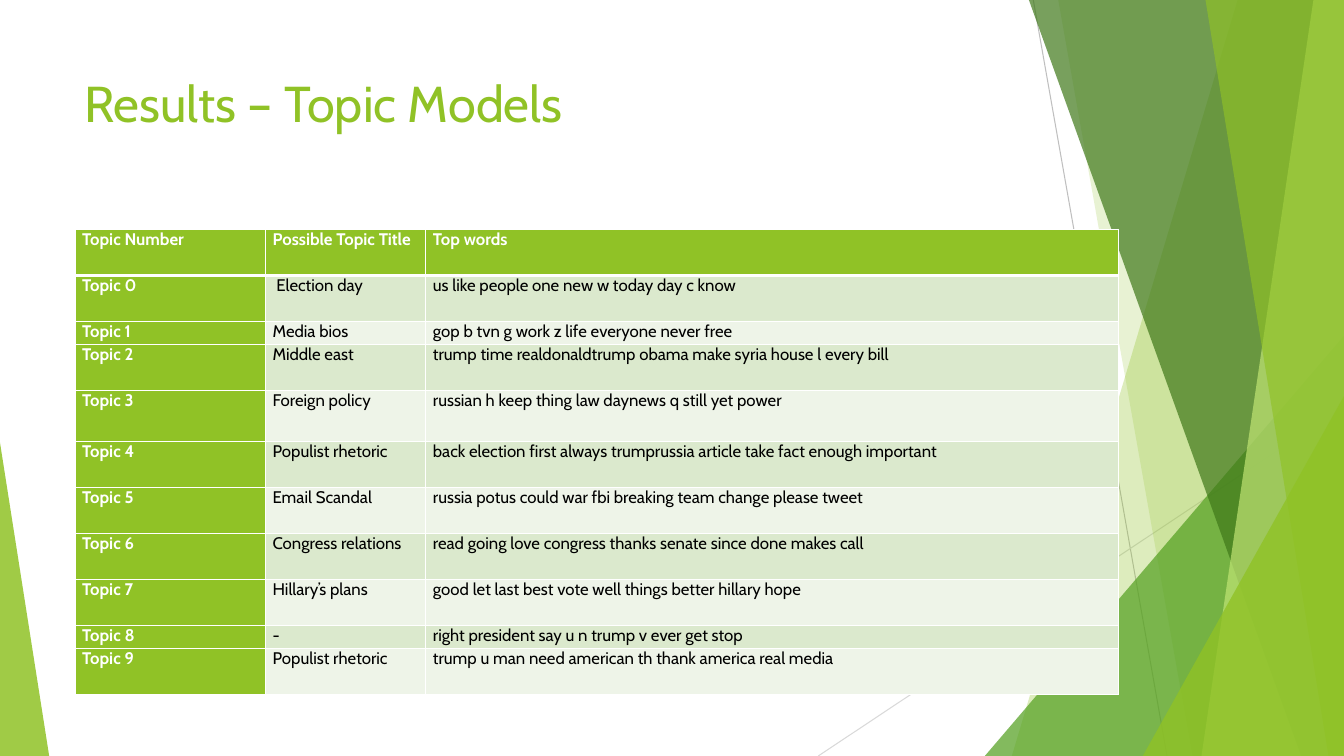
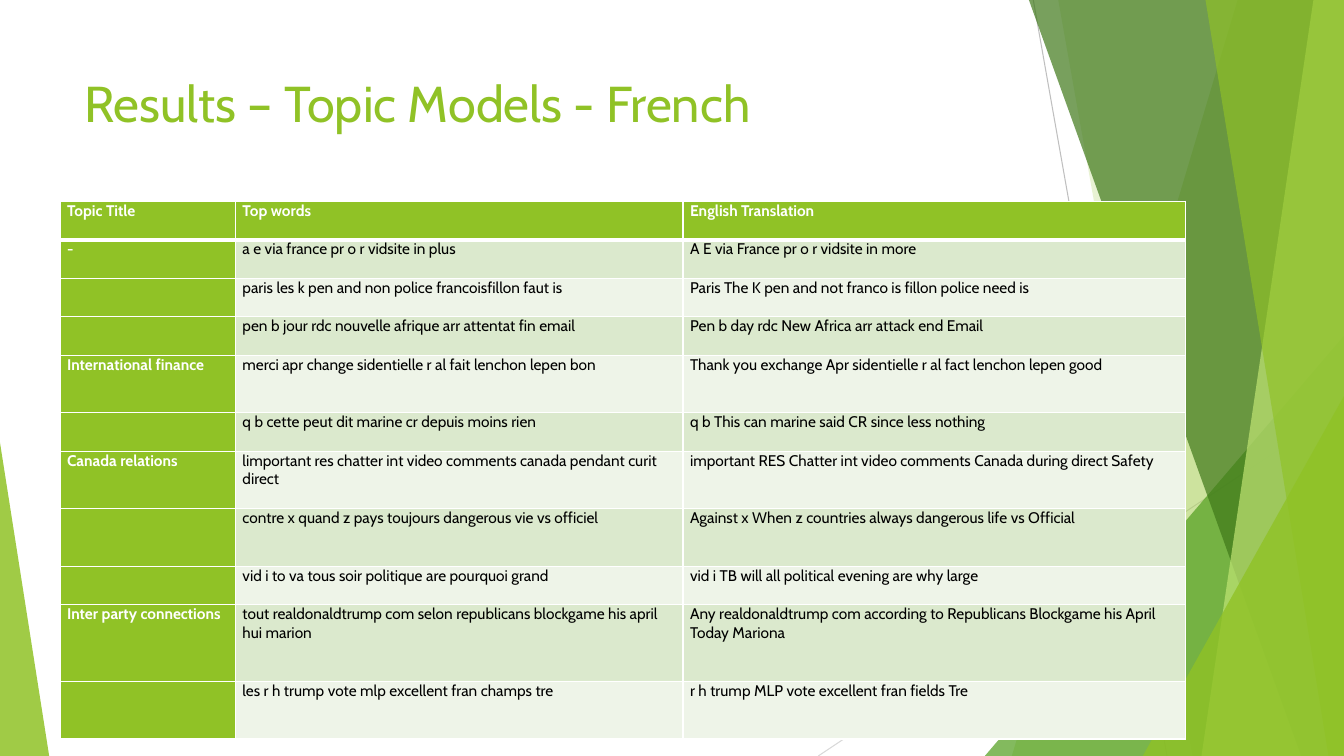
"""Build two topic-model result slides with a shared faceted green backdrop."""
from lxml import etree
from pptx import Presentation
from pptx.dml.color import RGBColor
from pptx.enum.shapes import MSO_CONNECTOR, MSO_SHAPE
from pptx.enum.text import MSO_ANCHOR
from pptx.oxml.ns import qn
from pptx.util import Cm, Pt

STRAIGHT = MSO_CONNECTOR.STRAIGHT
TRIANGLE = MSO_SHAPE.ISOSCELES_TRIANGLE
TOP = MSO_ANCHOR.TOP

FONT = "Cabin"
GREEN, LEAF, FOREST, LIME = "90C226", "54A021", "3F7819", "C0E474"
WHITE, BLACK = "FFFFFF", "000000"
ROW_TINTS = ["EEF4E8", "DBE9CD"]
WIDTH, HEIGHT = 33.87, 19.05

RULES = [
    (26.04, 0, 29.41, HEIGHT, "BFBFBF"),
    (WIDTH, 10.24, 20.62, HEIGHT, "D9D9D9"),
]

# Bands are (top x, bottom x); triangles are (left, top, width, apex).
FACETS = [
    ((31.19, 25.5), GREEN, 30),
    ((26.67, 30.05), GREEN, 20),
    ((24.82, 8.46, 9.05, 1), LEAF, 72),
    ((25.93, 32.79), FOREST, 70),
    ((33.1, 30.28), LIME, 70),
    ((30.38, 33.48), GREEN, 65),
    ((28.8, 9.98, 5.07, 1), GREEN, 80),
    ((0, 11.15, 1.24, 0), GREEN, 85),
]

TOPICS = [
    ("Topic Number", "Possible Topic Title", "Top words"),
    ("Topic 0", " Election day", "us like people one new w today day c know"),
    ("Topic 1", "Media bios", "gop b tvn g work z life everyone never free"),
    ("Topic 2", "Middle east", "trump time realdonaldtrump obama make syria house l every bill"),
    ("Topic 3", "Foreign policy", "russian h keep thing law daynews q still yet power"),
    ("Topic 4", "Populist rhetoric", "back election first always trumprussia article take fact enough important"),
    ("Topic 5", "Email Scandal", "russia potus could war fbi breaking team change please tweet"),
    ("Topic 6", "Congress relations", "read going love congress thanks senate since done makes call"),
    ("Topic 7", "Hillary’s plans", "good let last best vote well things better hillary hope"),
    ("Topic 8", "-", "right president say u n trump v ever get stop"),
    ("Topic 9", "Populist rhetoric", "trump u man need american th thank america real media"),
]

FRENCH_TOPICS = [
    ("Topic Title", "Top words", "English Translation"),
    ("-", "a e via france pr o r vidsite in plus", "A E via France pr o r vidsite in more"),
    ("", "paris les k pen and non police francoisfillon faut is",
     "Paris The K pen and not franco is fillon police need is"),
    ("", "pen b jour rdc nouvelle afrique arr attentat fin email",
     "Pen b day rdc New Africa arr attack end Email"),
    ("International finance", "merci apr change sidentielle r al fait lenchon lepen bon",
     "Thank you exchange Apr sidentielle r al fact lenchon lepen good"),
    ("", "q b cette peut dit marine cr depuis moins rien",
     "q b This can marine said CR since less nothing"),
    ("Canada relations", "limportant res chatter int video comments canada pendant curit direct",
     "important RES Chatter int video comments Canada during direct Safety"),
    ("", "contre x quand z pays toujours dangerous vie vs officiel",
     "Against x When z countries always dangerous life vs Official"),
    ("", "vid i to va tous soir politique are pourquoi grand",
     "vid i TB will all political evening are why large"),
    ("Inter party connections", "tout realdonaldtrump com selon republicans blockgame his april hui marion",
     "Any realdonaldtrump com according to Republicans Blockgame his April Today Mariona"),
    ("", "les r h trump vote mlp excellent fran champs tre",
     "r h trump MLP vote excellent fran fields Tre"),
]

SLIDES = [
    ("Results – Topic Models", TOPICS, 12, (1.89, 5.78), (4.8, 4.04, 17.45),
     (1.16, 1.16, 0.58, 1.16, 1.28, 1.16, 1.16, 1.16, 1.16, 0.58, 1.16)),
    ("Results – Topic Models - French", FRENCH_TOPICS, 11, (1.51, 5.07), (4.42, 11.28, 12.67),
     (0.97, 0.97, 0.97, 0.97, 1.45, 0.97, 1.45, 1.45, 0.97, 1.93, 1.45)),
]


def paint(fill, color, opacity=100):
    """Fill with a solid hex colour at the given opacity in percent."""
    fill.solid()
    fill.fore_color.rgb = RGBColor.from_string(color)
    if opacity < 100:
        srgb = fill._xPr.find(".//" + qn("a:srgbClr"))
        etree.SubElement(srgb, qn("a:alpha"), val=str(opacity * 1000))


def write(text_frame, text, size, color, bold=False):
    """Set the text and format its runs."""
    text_frame.text = text
    for run in text_frame.paragraphs[0].runs:
        run.font.name = FONT
        run.font.size = Pt(size)
        run.font.bold = bold
        paint(run.font.fill, color)


prs = Presentation()
prs.slide_width, prs.slide_height = Cm(WIDTH), Cm(HEIGHT)

for heading, rows, text_size, corner, column_widths, row_heights in SLIDES:
    slide = prs.slides.add_slide(prs.slide_layouts[6])

    for x1, y1, x2, y2, color in RULES:
        rule = slide.shapes.add_connector(STRAIGHT, Cm(x1), Cm(y1), Cm(x2), Cm(y2))
        rule.line.width = Pt(0.75)
        paint(rule.line.fill, color)
        etree.SubElement(rule._element.spPr, qn("a:effectLst"))

    for outline, color, opacity in FACETS:
        if len(outline) == 2:
            top_x, bottom_x = outline
            builder = slide.shapes.build_freeform(Cm(top_x), 0)
            builder.add_line_segments(
                [(Cm(WIDTH), 0), (Cm(WIDTH), Cm(HEIGHT)), (Cm(bottom_x), Cm(HEIGHT))])
            facet = builder.convert_to_shape()
        else:
            left, top, width, apex = outline
            facet = slide.shapes.add_shape(
                TRIANGLE, Cm(left), Cm(top), Cm(width), Cm(HEIGHT - top))
            facet.adjustments[0] = apex
        facet.shadow.inherit = False
        facet.line.fill.background()
        paint(facet.fill, color, opacity)

    title = slide.shapes.add_textbox(Cm(1.88), Cm(1.7), Cm(23.88), Cm(3.66)).text_frame
    title.word_wrap = True
    title.vertical_anchor = TOP
    write(title, heading, 36, GREEN)

    table = slide.shapes.add_table(
        len(rows), len(column_widths), Cm(corner[0]), Cm(corner[1]),
        Cm(sum(column_widths)), Cm(sum(row_heights))).table
    for column, width in zip(table.columns, column_widths):
        column.width = Cm(width)
    for r, (words, height) in enumerate(zip(rows, row_heights)):
        table.rows[r].height = Cm(height)
        for c, text in enumerate(words):
            cell = table.cell(r, c)
            cell.margin_left = cell.margin_right = Cm(0.18)
            cell.margin_top = cell.margin_bottom = 0
            is_label = r == 0 or c == 0
            write(cell.text_frame, text, text_size, WHITE if is_label else BLACK, is_label)
            for side in "LRTB":
                thick = (r, side) in [(0, "B"), (1, "T")]
                border = etree.SubElement(cell._tc.get_or_add_tcPr(), qn("a:ln" + side),
                                          w=str(Pt(3 if thick else 1)))
                solid = etree.SubElement(border, qn("a:solidFill"))
                etree.SubElement(solid, qn("a:srgbClr"), val=WHITE)
            paint(cell.fill, GREEN if is_label else ROW_TINTS[r % 2])

prs.save("out.pptx")
